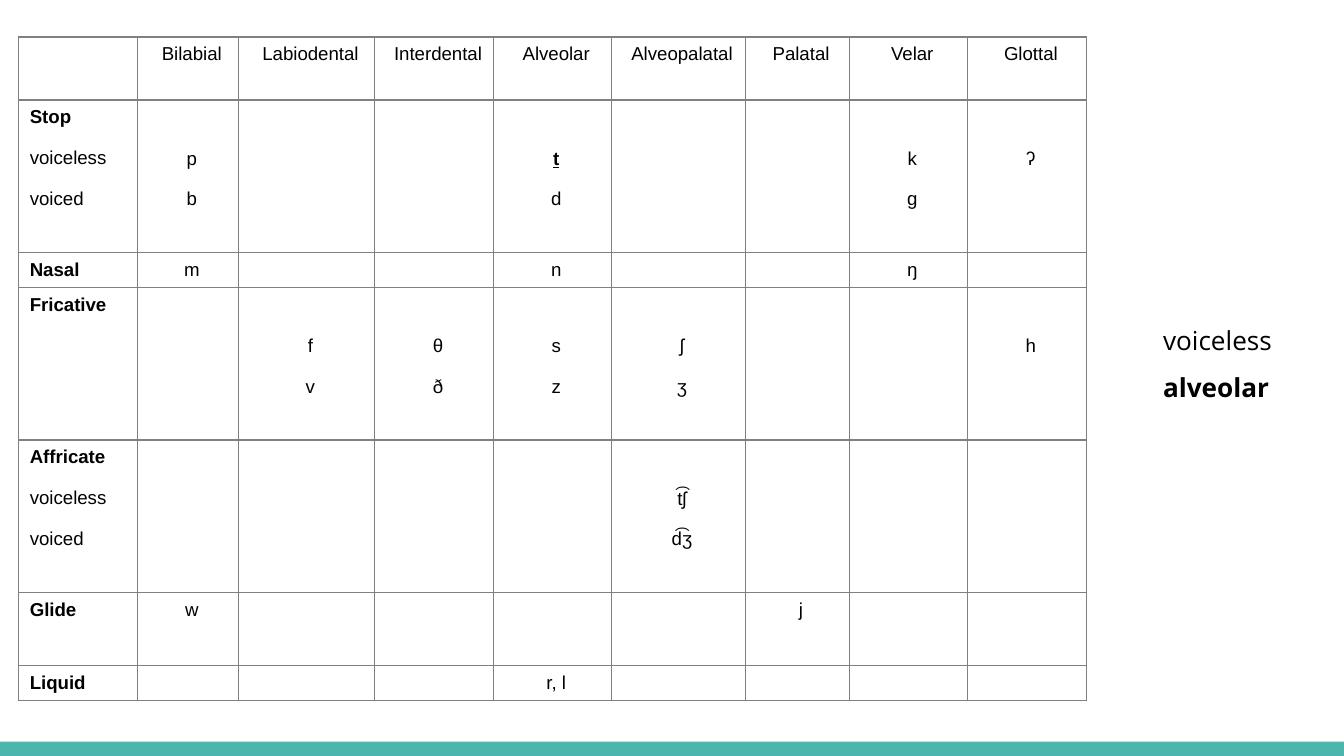
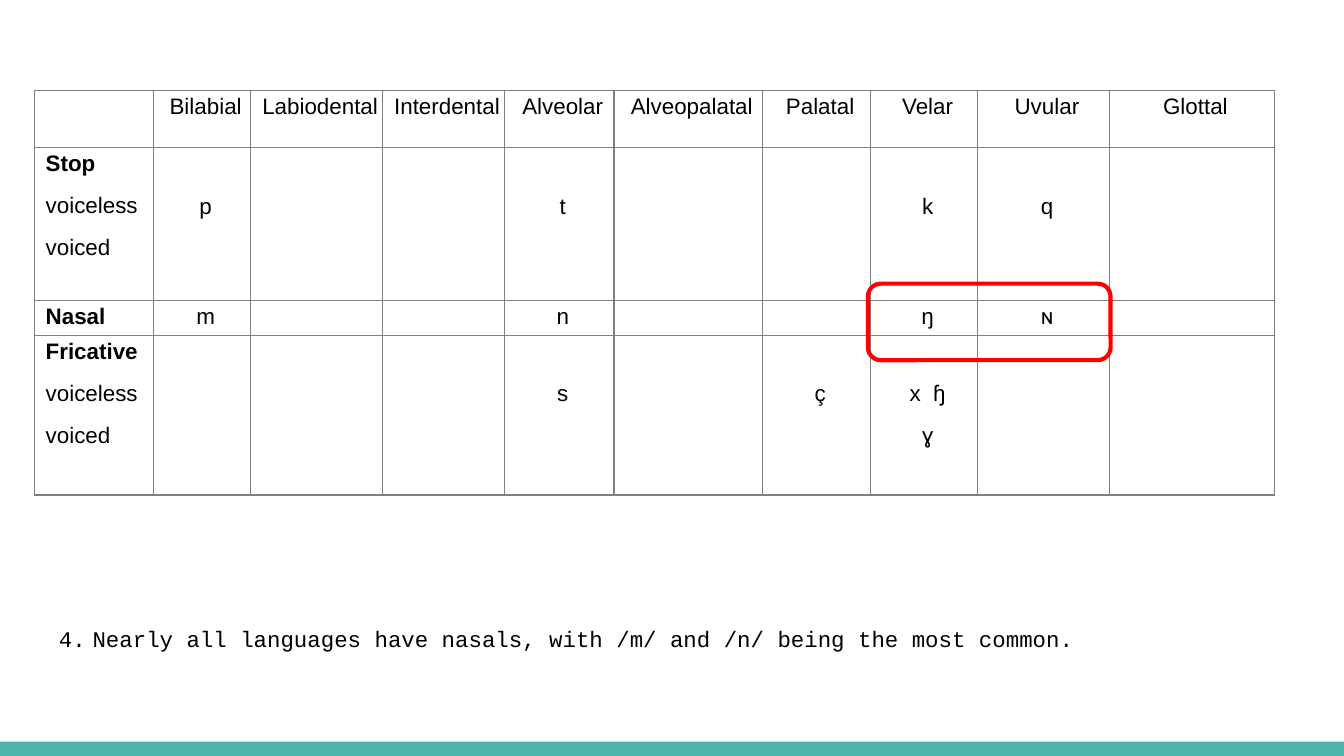
import lxml.etree
import pptx
import pptx.dml.color
import pptx.enum.shapes
import pptx.enum.text
import pptx.oxml.ns
import pptx.util

Pt = pptx.util.Pt
RGBColor = pptx.dml.color.RGBColor
qn = pptx.oxml.ns.qn

BLACK = RGBColor(0x00, 0x00, 0x00)
WHITE = RGBColor(0xFF, 0xFF, 0xFF)
TEAL = RGBColor(0x4D, 0xB6, 0xAC)
RED = RGBColor(0xFF, 0x00, 0x00)
GRAY = RGBColor(0x80, 0x80, 0x80)

SLIDE_WIDTH, SLIDE_HEIGHT = 720, 405
BAND_HEIGHT = 7.7
CELL_MARGIN = 2
CELL_INDENT = 4
LINE_GAP = 9
VOICING = ["voiceless", "voiced"]

# Each row: manner, lines under its name, sounds by place of articulation.
# Sounds of the two-line manners start on the line below the manner's name.
ENGLISH_PLACES = ["Bilabial", "Labiodental", "Interdental", "Alveolar",
                  "Alveopalatal", "Palatal", "Velar", "Glottal"]
ENGLISH_ROWS = [
    ("Stop", VOICING, {"Bilabial": ["p", "b"], "Alveolar": ["t", "d"],
                       "Velar": ["k", "g"], "Glottal": ["ʔ"]}),
    ("Nasal", [], {"Bilabial": ["m"], "Alveolar": ["n"], "Velar": ["ŋ"]}),
    ("Fricative", [], {"Labiodental": ["f", "v"], "Interdental": ["θ", "ð"],
                       "Alveolar": ["s", "z"], "Alveopalatal": ["ʃ", "ʒ"],
                       "Glottal": ["h"]}),
    ("Affricate", VOICING, {"Alveopalatal": ["t͡ʃ", "d͡ʒ"]}),
    ("Glide", [], {"Bilabial": ["w"], "Palatal": ["j"]}),
    ("Liquid", [], {"Alveolar": ["r, l"]}),
]
NASAL_PLACES = ENGLISH_PLACES[:-1] + ["Uvular", "Glottal"]
NASAL_ROWS = [
    ("Stop", VOICING, {"Bilabial": ["p"], "Alveolar": ["t"],
                       "Velar": ["k"], "Uvular": ["q"]}),
    ("Nasal", [], {"Bilabial": ["m"], "Alveolar": ["n"],
                   "Velar": ["ŋ"], "Uvular": ["ɴ"]}),
    ("Fricative", VOICING, {"Alveolar": ["s"], "Palatal": ["ç"],
                            "Velar": ["x  ɧ", "ɣ"]}),
]
TWO_LINE_MANNERS = {"Stop", "Fricative", "Affricate"}


def add_run(paragraph, text, font_name, size, bold=False, underline=False):
    run = paragraph.add_run()
    run.text = text
    run.font.name = font_name
    run.font.size = Pt(size)
    run.font.bold = bold
    run.font.underline = underline
    run.font.color.rgb = BLACK


def add_text_box(slide, box):
    frame = slide.shapes.add_textbox(*map(Pt, box)).text_frame
    frame.word_wrap = True
    frame.margin_left = frame.margin_right = Pt(7.2)
    frame.margin_top = frame.margin_bottom = Pt(7.2)
    return frame


def add_base_slide(presentation):
    """A blank slide with the teal band along its bottom edge."""
    slide = presentation.slides.add_slide(presentation.slide_layouts[6])
    band = slide.shapes.add_shape(
        pptx.enum.shapes.MSO_SHAPE.RECTANGLE, Pt(0),
        Pt(SLIDE_HEIGHT - BAND_HEIGHT), Pt(SLIDE_WIDTH), Pt(BAND_HEIGHT))
    band.shadow.inherit = False
    band.fill.solid()
    band.fill.fore_color.rgb = TEAL
    band.line.fill.background()
    return slide


def style_cell(cell):
    cell.margin_left = cell.margin_right = Pt(CELL_MARGIN)
    cell.margin_top = cell.margin_bottom = Pt(CELL_MARGIN)
    properties = cell._tc.get_or_add_tcPr()
    for side in ("a:lnL", "a:lnR", "a:lnT", "a:lnB"):
        border = lxml.etree.SubElement(properties, qn(side), w=str(Pt(0.75)))
        fill = lxml.etree.SubElement(border, qn("a:solidFill"))
        lxml.etree.SubElement(fill, qn("a:srgbClr"), val=str(GRAY))
    cell.fill.solid()
    cell.fill.fore_color.rgb = WHITE


def fill_cell(cell, lines, size, spacing, manner=False, marked=None):
    """Write lines into a cell; a manner's name is bold and left-aligned."""
    style_cell(cell)
    frame = cell.text_frame
    if not lines:
        # Keeps the empty cell from stretching a low row
        lxml.etree.SubElement(frame.paragraphs[0]._p, qn("a:endParaRPr"),
                              sz=str(size * 100))
    for index, line in enumerate(lines):
        paragraph = frame.add_paragraph() if index else frame.paragraphs[0]
        paragraph._p.get_or_add_pPr().set("marL", str(Pt(CELL_INDENT)))
        if not manner:
            paragraph.alignment = pptx.enum.text.PP_ALIGN.CENTER
        paragraph.line_spacing = spacing
        if index:
            paragraph.space_before = Pt(LINE_GAP)
        is_marked = line == marked
        add_run(paragraph, line, "Arial", size,
                bold=is_marked or (manner and index == 0),
                underline=is_marked)


def add_consonant_table(slide, left, top, widths, heights, places, rows,
                        size, spacing=1.0, marked=None):
    table = slide.shapes.add_table(
        len(heights), len(widths), Pt(left), Pt(top),
        Pt(sum(widths)), Pt(sum(heights))).table
    table.first_row = table.horz_banding = False
    for column, width in zip(table.columns, widths):
        column.width = Pt(width)
    for row, height in zip(table.rows, heights):
        row.height = Pt(height)

    # Header
    fill_cell(table.cell(0, 0), [], size, spacing)
    for column, place in enumerate(places, start=1):
        fill_cell(table.cell(0, column), [place], size, spacing)

    # Manners and their sounds
    line_pitch = size * 1.15 * spacing + LINE_GAP
    for row, (manner, voicing, sounds) in enumerate(rows, start=1):
        fill_cell(table.cell(row, 0), [manner] + voicing, size, spacing,
                  manner=True)
        for column, place in enumerate(places, start=1):
            cell = table.cell(row, column)
            fill_cell(cell, sounds.get(place, []), size, spacing,
                      marked=marked)
            if place in sounds and manner in TWO_LINE_MANNERS:
                cell.margin_top = Pt(CELL_MARGIN + line_pitch)


def add_feature_list(slide, box, features):
    """Features of the marked sound; the last one is bold."""
    frame = add_text_box(slide, box)
    for index, feature in enumerate(features):
        paragraph = frame.add_paragraph() if index else frame.paragraphs[0]
        paragraph.line_spacing = 1.5
        add_run(paragraph, feature, "Open Sans", 14,
                bold=feature == features[-1])


def add_numbered_statement(slide, box, number, statement):
    paragraph = add_text_box(slide, box).paragraphs[0]
    properties = paragraph._p.get_or_add_pPr()
    properties.set("marL", str(Pt(18)))
    properties.set("indent", str(Pt(-24)))
    color = lxml.etree.SubElement(properties, qn("a:buClr"))
    lxml.etree.SubElement(color, qn("a:srgbClr"), val=str(BLACK))
    lxml.etree.SubElement(properties, qn("a:buFont"), typeface="Courier New")
    lxml.etree.SubElement(properties, qn("a:buAutoNum"),
                          type="arabicPeriod", startAt=str(number))
    add_run(paragraph, statement, "Courier New", 12)


def add_highlight(slide, box):
    frame = slide.shapes.add_shape(
        pptx.enum.shapes.MSO_SHAPE.ROUNDED_RECTANGLE, *map(Pt, box))
    frame.shadow.inherit = False
    frame.fill.background()
    frame.line.color.rgb = RED
    frame.line.width = Pt(2.25)


def build_english_slide(presentation):
    slide = add_base_slide(presentation)
    add_consonant_table(
        slide, 10, 19.8,
        widths=[63.7, 54.1, 73, 63.7, 63, 71.8, 55.8, 63.4, 63.7],
        heights=[33.8, 81.7, 18.7, 81.7, 81.7, 39.4, 18.7],
        places=ENGLISH_PLACES, rows=ENGLISH_ROWS,
        size=10, spacing=1.15, marked="t")
    add_feature_list(slide, (616, 158, 80, 44), ["voiceless", "alveolar"])


def build_nasal_slide(presentation):
    slide = add_base_slide(presentation)
    add_consonant_table(
        slide, 18.5, 48.3,
        widths=[63.7, 52, 70.7, 65.2, 58.8, 79.5, 58, 57.2, 70.7, 88.4],
        heights=[30.7, 82, 18.7, 85.5],
        places=NASAL_PLACES, rows=NASAL_ROWS, size=12)
    add_numbered_statement(
        slide, (24.5, 327.6, 671, 70), 4,
        "Nearly all languages have nasals, with /m/ and /n/ being the most "
        "common.")
    add_highlight(slide, (465, 152, 130, 41))


def main():
    presentation = pptx.Presentation()
    presentation.slide_width = Pt(SLIDE_WIDTH)
    presentation.slide_height = Pt(SLIDE_HEIGHT)
    build_english_slide(presentation)
    build_nasal_slide(presentation)
    presentation.save("out.pptx")


if __name__ == "__main__":
    main()
